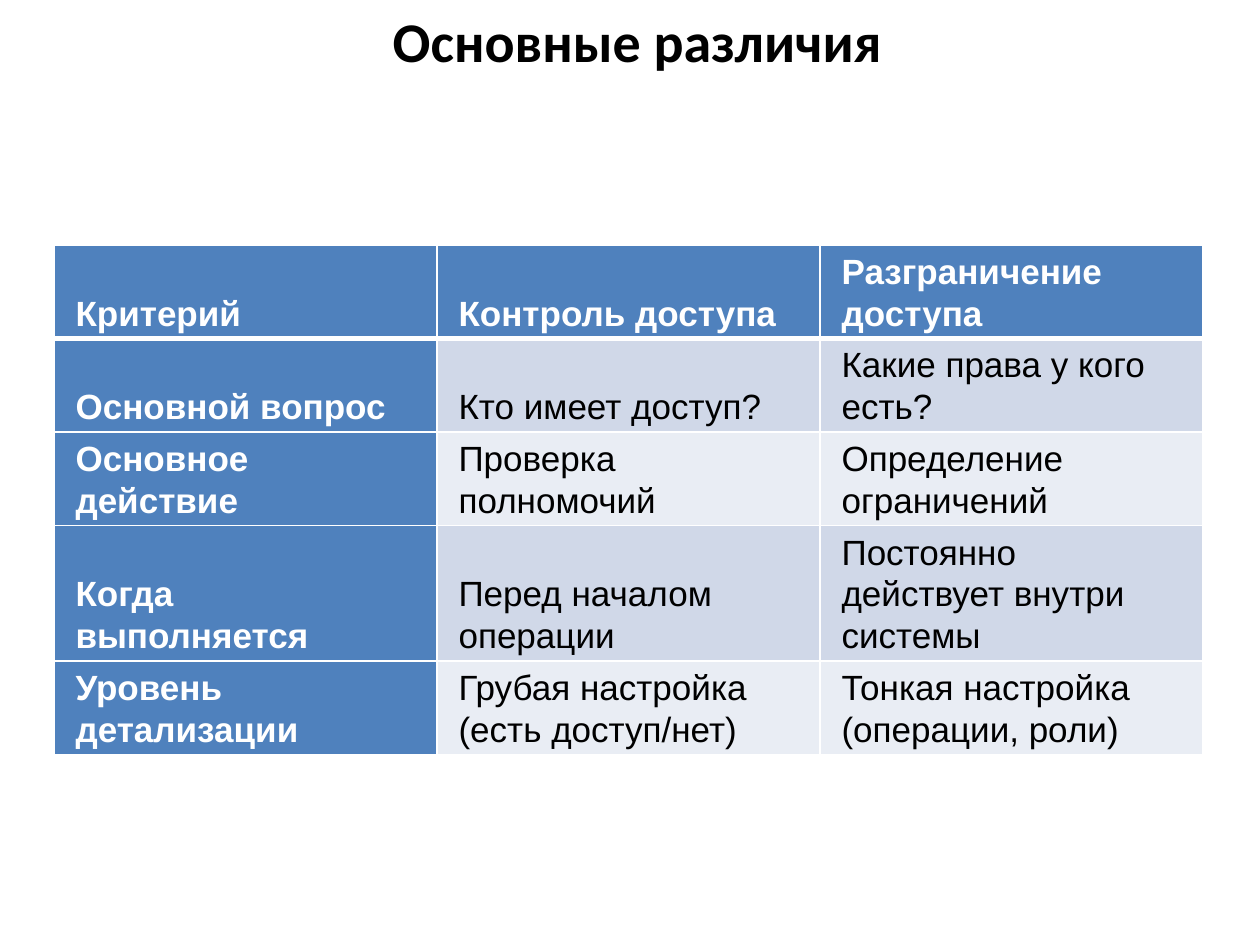
from dataclasses import dataclass

from lxml import etree
from pptx import Presentation
from pptx import util as u
from pptx.dml.color import RGBColor
from pptx.enum import text
from pptx.oxml.ns import qn

WIDTH, HEIGHT = u.Inches(10), u.Inches(7.5)
WHITE, BLACK, BLUE = "FFFFFF", "000000", "4F81BD"
BANDS = ("D0D8E8", "E9EDF4")
ROW_SHARE, COLUMN_SHARE = 0.077, 0.304


@dataclass
class Criterion:
    name: str
    control: str
    separation: str


CRITERIA = [
    Criterion("Критерий", "Контроль доступа", "Разграничение доступа"),
    Criterion("Основной вопрос", "Кто имеет доступ?", "Какие права у кого есть?"),
    Criterion("Основное действие", "Проверка полномочий", "Определение ограничений"),
    Criterion("Когда выполняется", "Перед началом операции",
              "Постоянно действует внутри системы"),
    Criterion("Уровень детализации", "Грубая настройка (есть доступ/нет)",
              "Тонкая настройка (операции, роли)"),
]


def rgb(value: str) -> RGBColor:
    return RGBColor.from_string(value)


def set_font(p, name: str, size: float, color: str, bold: bool) -> None:
    p.font.name, p.font.size, p.font.bold = name, u.Pt(size), bold
    p.font.color.rgb = rgb(color)


def set_border(cell, side: str, points: float) -> None:
    ln = etree.SubElement(cell._tc.get_or_add_tcPr(), qn(f"a:{side}"), w=str(u.Pt(points)))
    fill = etree.SubElement(ln, qn("a:solidFill"))
    etree.SubElement(fill, qn("a:srgbClr"), val=WHITE)


def draw_title(s, title: str) -> None:
    sp = s.shapes.title
    sp.left, sp.top = int(WIDTH * 0.012), 0
    sp.width, sp.height = int(WIDTH * 0.988), int(HEIGHT * 0.983)
    tf = sp.text_frame
    tf.text = title
    tf.vertical_anchor = text.MSO_ANCHOR.TOP
    tf.auto_size = text.MSO_AUTO_SIZE.NONE
    p = tf.paragraphs[0]
    p.alignment = text.PP_ALIGN.CENTER
    set_font(p, "Calibri", 32, BLACK, True)


def draw_cell(cell, value: str, row: int, column: int) -> None:
    heading = row == 0 or column == 0
    for side in ("lnL", "lnR", "lnT", "lnB"):
        under_header = (row, side) in ((0, "lnB"), (1, "lnT"))
        set_border(cell, side, 3 if under_header else 1)
    cell.fill.solid()
    cell.fill.fore_color.rgb = rgb(BLUE if heading else BANDS[(row - 1) % 2])
    cell.margin_left = cell.margin_right = u.Inches(0.17)
    cell.margin_top = cell.margin_bottom = u.Inches(0.04)
    cell.vertical_anchor = text.MSO_ANCHOR.BOTTOM
    cell.text = value
    p = cell.text_frame.paragraphs[0]
    p.line_spacing, p.space_after = 1.07, u.Pt(8)
    set_font(p, "Arial", 20, WHITE if heading else BLACK, heading)


def draw_table(s, criteria: list[Criterion]) -> None:
    table = s.shapes.add_table(
        len(criteria), 3, int(WIDTH * 0.043), int(HEIGHT * 0.259),
        int(WIDTH * COLUMN_SHARE * 3), int(HEIGHT * ROW_SHARE * len(criteria))).table
    table.first_col = True
    for row, item in enumerate(criteria):
        for column, value in enumerate((item.name, item.control, item.separation)):
            draw_cell(table.cell(row, column), value, row, column)


def main() -> None:
    prs = Presentation()
    prs.slide_width, prs.slide_height = WIDTH, HEIGHT
    s = prs.slides.add_slide(prs.slide_layouts[5])
    draw_title(s, "Основные различия")
    draw_table(s, CRITERIA)
    prs.save("out.pptx")


if __name__ == "__main__":
    main()
